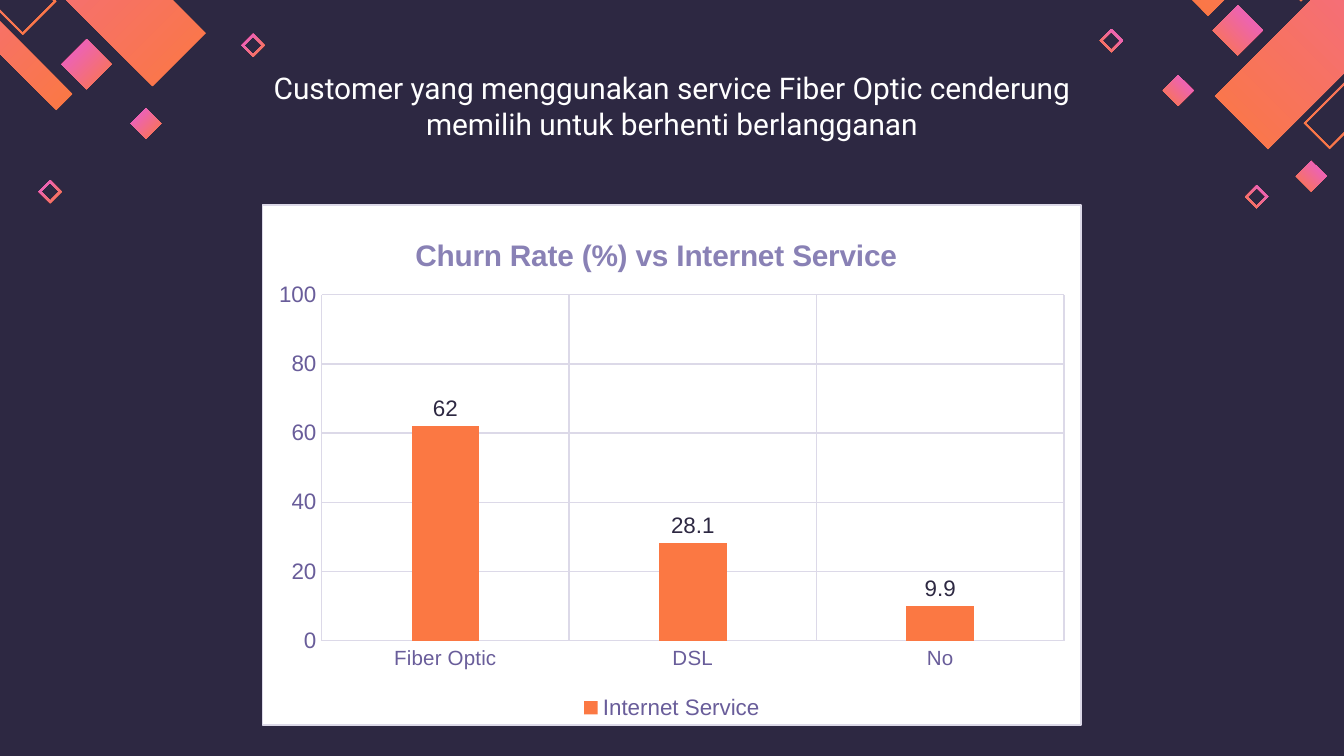
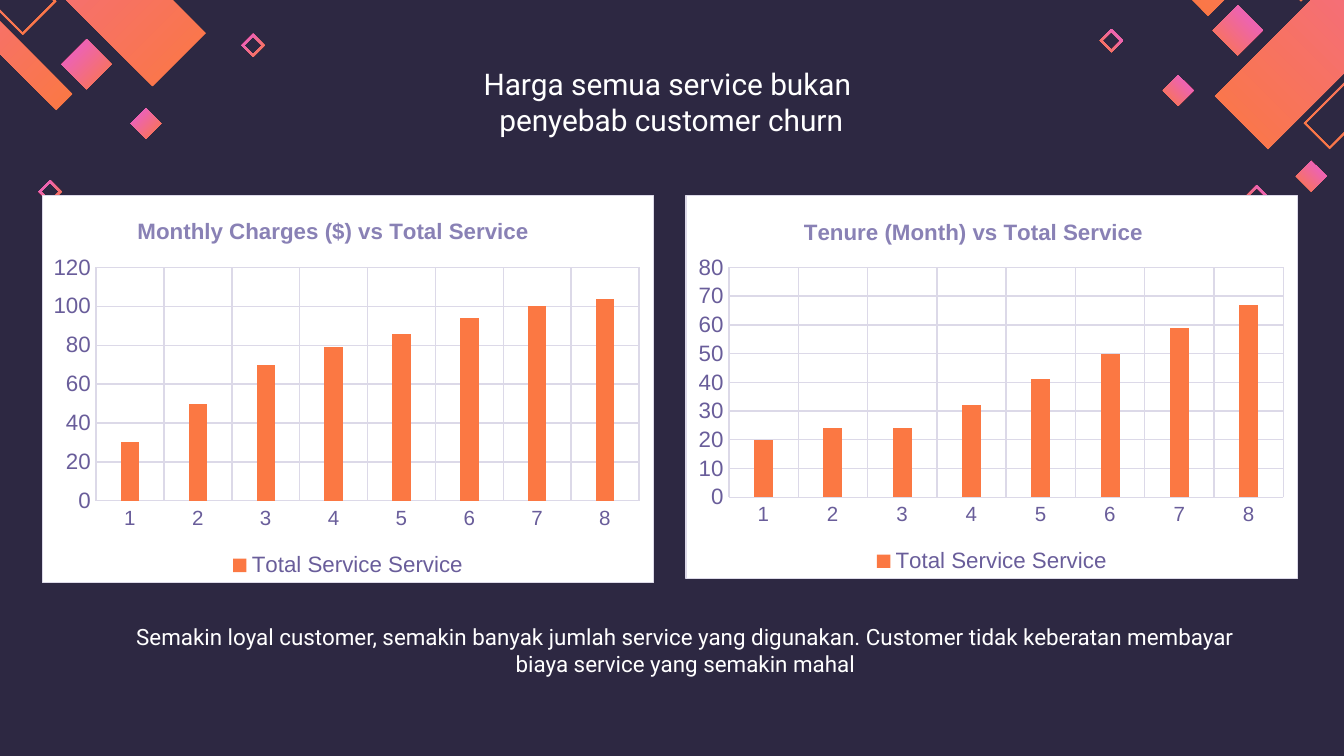
import pptx
import pptx.util
import pptx.chart.data
import pptx.dml.color
import pptx.enum.chart
import pptx.enum.text
import pptx.oxml
import pptx.oxml.ns

Pt = pptx.util.Pt
COLORS = {
    name: pptx.dml.color.RGBColor.from_string(value)
    for name, value in {
        "background": "2D2842",
        "orange": "FB7843",
        "pink": "E85CDB",
        "white": "FFFFFF",
        "grid": "DCD9E8",
        "axis": "695D9A",
        "chart_title": "8981B5",
    }.items()
}
CHART_NAMESPACES = pptx.oxml.ns.nsdecls("c", "a")

# left, top, size, short_side, rim
CORNERS = {
    "right": [
        (650.9, -136.8, 216.7, 28.4, 0),
        (679, -157.7, 158.4, 18, 1.3),
        (638.6, -169.2, 177.8, 8.6, 0),
        (698.4, -94.3, 174.2, 13.9, 1.3),
        (694.2, 86.2, 16.4, 8.2, 0),
        (667, 99.2, 12.4, 6.2, 1.4),
        (589.2, 15.6, 12.4, 6.2, 1.4),
        (649.7, 2.9, 26.8, 13.4, 0),
        (623, 40.3, 16.4, 8.2, 0),
    ],
    "left": [
        (-106.6, -170.6, 216.7, 28.4, 0),
        (-128.2, -139.7, 158.4, 18, 1.3),
        (-139, -118.8, 177.8, 8.6, 0),
        (129.4, 18.1, 12.4, 6.2, 1.4),
        (33, 21, 26.8, 13.4, 0),
        (70, 58, 16.4, 8.2, 0),
        (20.7, 96.5, 12.4, 6.2, 1.4),
    ],
}

SERVICE_COUNTS = [str(count) for count in range(1, 9)]
SLIDES = [
    {
        "texts": [
            (126.7, 30.2, 466.6, 51.1, 16, "TOP",
             ["Customer yang menggunakan service Fiber Optic cenderung memilih untuk berhenti berlangganan"]),
        ],
        "charts": [
            {
                "box": (140.4, 109.4, 439.2, 279.4),
                "title": "Churn Rate (%) vs Internet Service", "title_size": 16,
                "title_at": (0.18, 0.05), "plot_at": (0.072, 0.173, 0.907, 0.665),
                "series": "Internet Service", "categories": ["Fiber Optic", "DSL", "No"],
                "values": [62, 28.1, 9.9], "maximum": 100, "step": 20, "labels": True,
            },
        ],
    },
    {
        "texts": [
            (48.2, 20.9, 622.8, 59.8, 16, "BOTTOM",
             ["Harga semua service bukan ", "penyebab customer churn"]),
            (56.2, 326.9, 622.1, 51.1, 12, "TOP",
             ["Semakin loyal customer, semakin banyak jumlah service yang digunakan. "
              "Customer tidak keberatan membayar biaya service yang semakin mahal"]),
        ],
        "charts": [
            {
                "box": (22.3, 104.4, 328.3, 208.1),
                "title": "Monthly Charges ($) vs Total Service", "title_size": 12,
                "title_at": (0.149, 0.045), "plot_at": (0.088, 0.186, 0.888, 0.603),
                "series": "Total Service Service", "categories": SERVICE_COUNTS,
                "values": [30, 50, 70, 79, 86, 94, 100, 104],
                "maximum": 120, "step": 20, "labels": False,
            },
            {
                "box": (367.2, 104.4, 328.3, 205.9),
                "title": "Tenure (Month) vs Total Service", "title_size": 12,
                "title_at": (0.186, 0.05), "plot_at": (0.07, 0.188, 0.907, 0.6),
                "series": "Total Service Service", "categories": SERVICE_COUNTS,
                "values": [20, 24, 24, 32, 41, 50, 59, 67],
                "maximum": 80, "step": 10, "labels": False,
            },
        ],
    },
]


def style_font(font, size, color, name="Arial", bold=False):
    font.size = Pt(size)
    font.name = name
    font.bold = bold
    font.color.rgb = COLORS[color]


def set_layout(element, position, fractions):
    for old_layout in element.findall(pptx.oxml.ns.qn("c:layout")):
        element.remove(old_layout)
    target = '<c:layoutTarget val="inner"/>' if len(fractions) == 4 else ""
    modes = '<c:xMode val="edge"/><c:yMode val="edge"/>'
    sizes = "".join(f'<c:{key} val="{value}"/>' for key, value in zip("xywh", fractions))
    element.insert(position, pptx.oxml.parse_xml(
        f"<c:layout {CHART_NAMESPACES}><c:manualLayout>{target}{modes}{sizes}</c:manualLayout></c:layout>"))


presentation = pptx.Presentation()
presentation.slide_width = Pt(720)
presentation.slide_height = Pt(405)

for content in SLIDES:
    slide = presentation.slides.add_slide(presentation.slide_layouts[6])
    slide.background.fill.solid()
    slide.background.fill.fore_color.rgb = COLORS["background"]

    for side, pieces in CORNERS.items():
        for left, top, size, short_side, rim in pieces:
            builder = None
            for inset in ([0, rim] if rim else [0]):
                near, far = inset, size - inset
                outline = [(short_side, far), (far, short_side),
                           (size - short_side, near), (near, size - short_side)]
                if side == "left":
                    outline = [(size - x, y) for x, y in outline]
                points = [(Pt(left + x), Pt(top + y)) for x, y in outline]
                if builder is None:
                    builder = slide.shapes.build_freeform(*points[0])
                else:
                    builder.move_to(*points[0])
                builder.add_line_segments(points[1:], close=True)
            shape = builder.convert_to_shape()
            shape.shadow.inherit = False
            shape.line.fill.background()
            shape.fill.gradient()
            shape.fill.gradient_angle = 45 if side == "right" else 135
            for stop, color in zip(shape.fill.gradient_stops, ("orange", "pink")):
                stop.color.rgb = COLORS[color]

    for settings in content["charts"]:
        data = pptx.chart.data.CategoryChartData()
        data.categories = settings["categories"]
        data.add_series(settings["series"], settings["values"])
        chart = slide.shapes.add_chart(
            pptx.enum.chart.XL_CHART_TYPE.COLUMN_CLUSTERED,
            *[Pt(length) for length in settings["box"]], data).chart
        style_font(chart.font, 10, "background")

        chart.has_title = True
        run = chart.chart_title.text_frame.paragraphs[0].add_run()
        run.text = settings["title"]
        style_font(run.font, settings["title_size"], "chart_title", bold=True)
        set_layout(chart.chart_title._element, 1, settings["title_at"])
        set_layout(chart._chartSpace.chart.plotArea, 0, settings["plot_at"])

        chart.has_legend = True
        chart.legend.position = pptx.enum.chart.XL_LEGEND_POSITION.BOTTOM
        chart.legend.include_in_layout = False
        style_font(chart.legend.font, 12, "axis")

        for axis, size in ((chart.category_axis, 11), (chart.value_axis, 12)):
            axis.major_tick_mark = pptx.enum.chart.XL_TICK_MARK.NONE
            axis.minor_tick_mark = pptx.enum.chart.XL_TICK_MARK.NONE
            axis.has_major_gridlines = True
            axis.major_gridlines.format.line.color.rgb = COLORS["grid"]
            axis.major_gridlines.format.line.width = Pt(0.75)
            style_font(axis.tick_labels.font, size, "axis")
        chart.category_axis.format.line.color.rgb = COLORS["grid"]
        chart.category_axis.format.line.width = Pt(0.75)
        chart.value_axis.format.line.fill.background()
        chart.value_axis.minimum_scale = 0
        chart.value_axis.maximum_scale = settings["maximum"]
        chart.value_axis.major_unit = settings["step"]

        plot = chart.plots[0]
        plot.gap_width = 267
        plot.overlap = -43
        plot.vary_by_categories = False
        plot.series[0].format.fill.solid()
        plot.series[0].format.fill.fore_color.rgb = COLORS["orange"]
        if settings["labels"]:
            plot.has_data_labels = True
            plot.data_labels.show_value = True
            plot.data_labels.position = pptx.enum.chart.XL_LABEL_POSITION.OUTSIDE_END
            style_font(plot.data_labels.font, 12, "background")

        chart._chartSpace.chart.addnext(pptx.oxml.parse_xml(
            f"<c:spPr {CHART_NAMESPACES}>"
            f'<a:solidFill><a:srgbClr val="{COLORS["white"]}"/></a:solidFill>'
            f'<a:ln w="{Pt(0.75)}"><a:solidFill><a:srgbClr val="{COLORS["grid"]}"/></a:solidFill></a:ln>'
            "</c:spPr>"))

    for left, top, width, height, size, anchor, lines in content["texts"]:
        text_box = slide.shapes.add_textbox(Pt(left), Pt(top), Pt(width), Pt(height))
        frame = text_box.text_frame
        frame.word_wrap = True
        frame.vertical_anchor = pptx.enum.text.MSO_ANCHOR[anchor]
        frame.margin_left = frame.margin_right = Pt(7.2)
        frame.margin_top = frame.margin_bottom = Pt(7.2)
        paragraph = frame.paragraphs[0]
        paragraph.alignment = pptx.enum.text.PP_ALIGN.CENTER
        for index, line in enumerate(lines):
            if index:
                paragraph.add_line_break()
            run = paragraph.add_run()
            run.text = line
            style_font(run.font, size, "white", "Roboto")

presentation.save("out.pptx")
